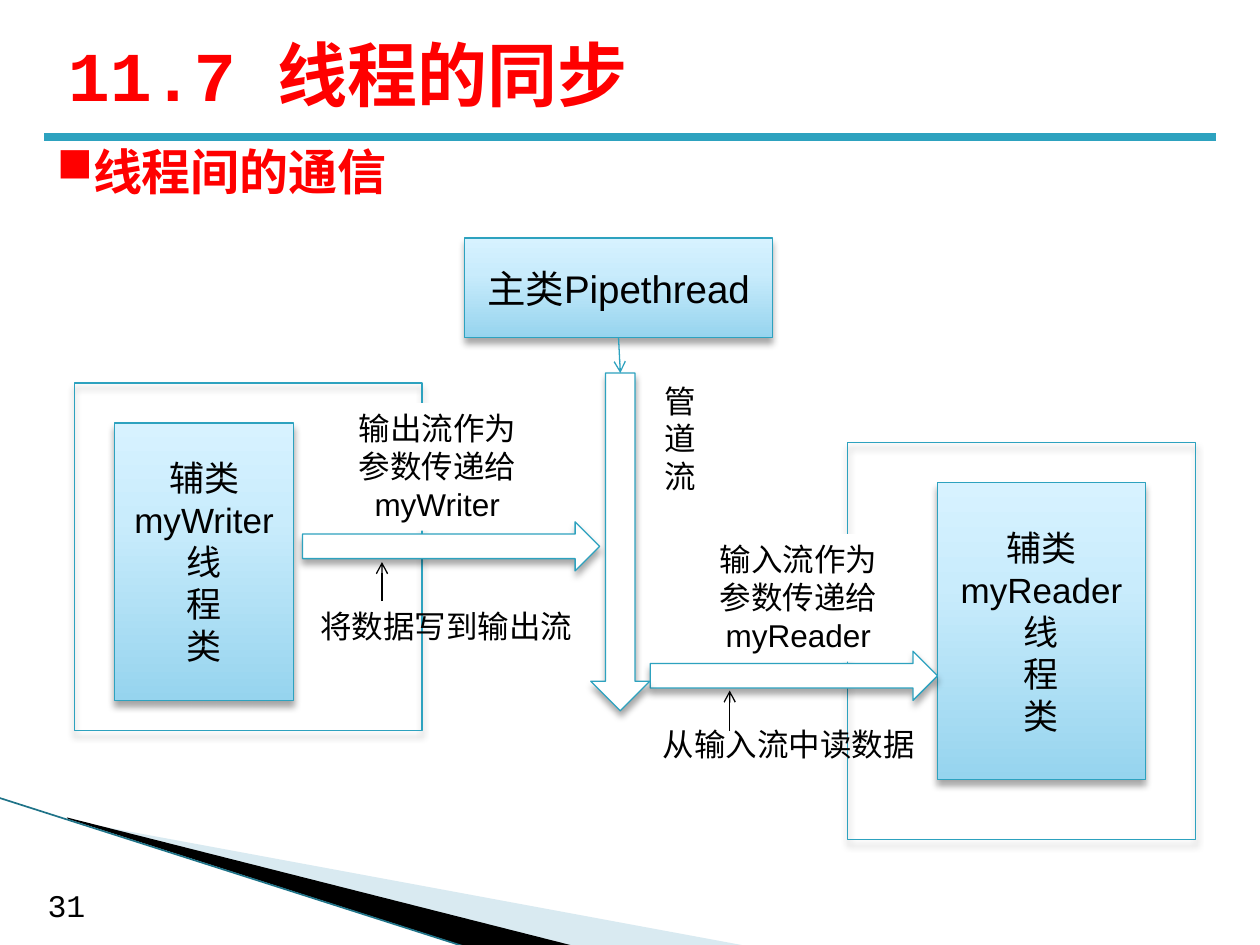
"""Build the slide on communication between threads through a pipe stream."""
from copy import deepcopy

from lxml.etree import SubElement
from pptx import Presentation
from pptx.dml.color import RGBColor
from pptx.enum.shapes import MSO_CONNECTOR as Connector, MSO_SHAPE as Shape
from pptx.enum.text import MSO_ANCHOR as Anchor, MSO_AUTO_SIZE as AutoSize, PP_ALIGN as Align
from pptx.oxml.ns import qn
from pptx.util import Cm, Pt

TEAL, BLACK, RED, WHITE = "2DA2BF", "000000", "FF0000", "FFFFFF"
GRADIENT = [(0, "96D4EE"), (0.65, "C9ECFC"), (1, "D7F2FF")]

WEDGES = [
    ("A0CBDC", 40, [(1.4, 16.54), (15.11, 19.08), (11.58, 19.08), (1.4, 16.51)]),
    (BLACK, 100, [(1.35, 16.48), (11.61, 19.08), (9.45, 19.1), (1.37, 16.51)]),
]
RULES = [
    ((-0.03, 16.08), (9.42, 19.1), "1F7388", 0.95),
    ((0.89, 2.77), (24.51, 2.77), TEAL, 4.5),
]
FRAMES = [(17.09, 8.92, 7.01, 8), (1.5, 7.72, 7.01, 7.01)]
CLASS_BOXES = [
    ((2.31, 8.53, 3.61, 5.59), ["辅类", "myWriter", "线", "程", "类"], 20),
    ((18.9, 9.73, 4.19, 5.99), ["辅类", "myReader", "线", "程", "类"], 20),
    ((9.37, 4.8, 6.2, 2.01), ["主类Pipethread"], 22),
]
BLOCK_ARROWS = [
    (Shape.RIGHT_ARROW, (6.1, 10.52, 5.99, 0.99)),
    (Shape.RIGHT_ARROW, (13.11, 13.13, 5.79, 0.99)),
    (Shape.DOWN_ARROW, (11.91, 7.52, 1.19, 6.81)),
]
LABELS = [
    ((6.91, 8.13, 3.81, 2.57), "输出流作为参数传递给myWriter", WHITE),
    ((14.1, 10.77, 3.99, 2.57), "输入流作为参数传递给myReader", WHITE),
    ((6.1, 12.12, 5.79, 1.02), "将数据写到输出流", None),
    ((13.11, 14.5, 5.59, 1.02), "从输入流中读数据", None),
    ((13.11, 7.57, 1.19, 2.57), "管道流", None),
]
POINTERS = [((14.71, 14.73), (14.71, 13.92)), ((7.7, 12.12), (7.7, 11.33))]


def rgb(color):
    return RGBColor.from_string(color)


def add_child(parent, tag, **attributes):
    values = {name: str(value) for name, value in attributes.items()}
    return SubElement(parent, qn(tag), values)


def fill_solid(shape, color):
    shape.fill.solid()
    shape.fill.fore_color.rgb = rgb(color)


def fill_gradient(shape):
    shape.fill.gradient()
    shape.fill.gradient_angle = 90
    stop_list = shape._element.spPr.find(".//" + qn("a:gsLst"))
    stop_list.append(deepcopy(stop_list[-1]))
    for stop, (position, color) in zip(shape.fill.gradient_stops, GRADIENT):
        stop.position = position
        stop.color.rgb = rgb(color)


def add_shadow(shape):
    effects = add_child(shape._element.spPr, "a:effectLst")
    shadow = add_child(effects, "a:outerShdw", blurRad=Pt(4), dist=Pt(3),
                       dir=5400000, rotWithShape=0)
    color = add_child(shadow, "a:srgbClr", val=BLACK)
    add_child(color, "a:alpha", val=35000)


def add_outlined(slide, kind, place):
    shape = slide.shapes.add_shape(kind, *map(Cm, place))
    shape.fill.background()
    shape.line.color.rgb = rgb(TEAL)
    shape.line.width = Pt(0.75)
    add_shadow(shape)
    return shape


def write(shape, lines, size, font="Arial", color=BLACK, bold=False,
          align=Align.LEFT, anchor=Anchor.TOP):
    frame = shape.text_frame
    frame.word_wrap = True
    frame.vertical_anchor = anchor
    frame.text = "\n".join(lines)
    for paragraph in frame.paragraphs:
        paragraph.alignment = align
        paragraph.font.name = font
        paragraph.font.size = Pt(size)
        paragraph.font.bold = bold
        paragraph.font.color.rgb = rgb(color)


def add_text(slide, place, text, size, **style):
    box = slide.shapes.add_textbox(*map(Cm, place))
    write(box, [text], size, **style)
    return box


def add_line(slide, start, end, color, width, arrow=False):
    line = slide.shapes.add_connector(Connector.STRAIGHT, *map(Cm, start + end))
    line.line.color.rgb = rgb(color)
    line.line.width = Pt(width)
    if arrow:
        add_child(line.line._get_or_add_ln(), "a:tailEnd", type="arrow")
    add_child(line._element.spPr, "a:effectLst")
    return line


def add_wedge(slide, color, opacity, points):
    corners = [(Cm(x), Cm(y)) for x, y in points]
    builder = slide.shapes.build_freeform(*corners[0])
    builder.add_line_segments(corners[1:], close=True)
    wedge = builder.convert_to_shape()
    wedge.shadow.inherit = False
    wedge.line.fill.background()
    fill_solid(wedge, color)
    solid_color = wedge._element.spPr.find(qn("a:solidFill"))[0]
    add_child(solid_color, "a:alpha", val=opacity * 1000)


def add_heading(slide):
    heading = add_text(slide, (0.89, 2.72, 23.39, 1.45), "线程间的通信", 28,
                       color=RED, bold=True)
    properties = heading.text_frame.paragraphs[0]._p.get_or_add_pPr()
    bullet = properties.makeelement(qn("a:buChar"), {"char": "■"})
    properties.insert(0, bullet)


def add_diagram(slide):
    for place in FRAMES:
        add_outlined(slide, Shape.RECTANGLE, place)
    for place, lines, size in CLASS_BOXES:
        class_box = add_outlined(slide, Shape.RECTANGLE, place)
        fill_gradient(class_box)
        write(class_box, lines, size, align=Align.CENTER, anchor=Anchor.MIDDLE)
    for kind, place in BLOCK_ARROWS:
        block_arrow = add_outlined(slide, kind, place)
        fill_solid(block_arrow, WHITE)
    for place, text, background in LABELS:
        label = add_text(slide, place, text, 18, align=Align.CENTER)
        label.text_frame.auto_size = AutoSize.SHAPE_TO_FIT_TEXT
        if background:
            fill_solid(label, background)
    link = add_line(slide, (12.47, 6.81), (12.5, 7.52), TEAL, 0.75, arrow=True)
    link.begin_connect(class_box, 2)
    link.end_connect(block_arrow, 0)
    for start, end in POINTERS:
        add_line(slide, start, end, BLACK, 0.75, arrow=True)


def main():
    presentation = Presentation()
    presentation.slide_width, presentation.slide_height = Cm(25.4), Cm(19.05)
    slide = presentation.slides.add_slide(presentation.slide_layouts[6])
    for wedge in WEDGES:
        add_wedge(slide, *wedge)
    for rule in RULES:
        add_line(slide, *rule)
    add_text(slide, (0.71, 17.73, 1.4, 1.02), "31", 18, font="Courier New")
    add_text(slide, (1.12, 0.41, 22.86, 2.16), "11.7 线程的同步", 40,
             font="Courier New", color=RED, bold=True, anchor=Anchor.MIDDLE)
    add_heading(slide)
    add_diagram(slide)
    presentation.save("out.pptx")


if __name__ == "__main__":
    main()
